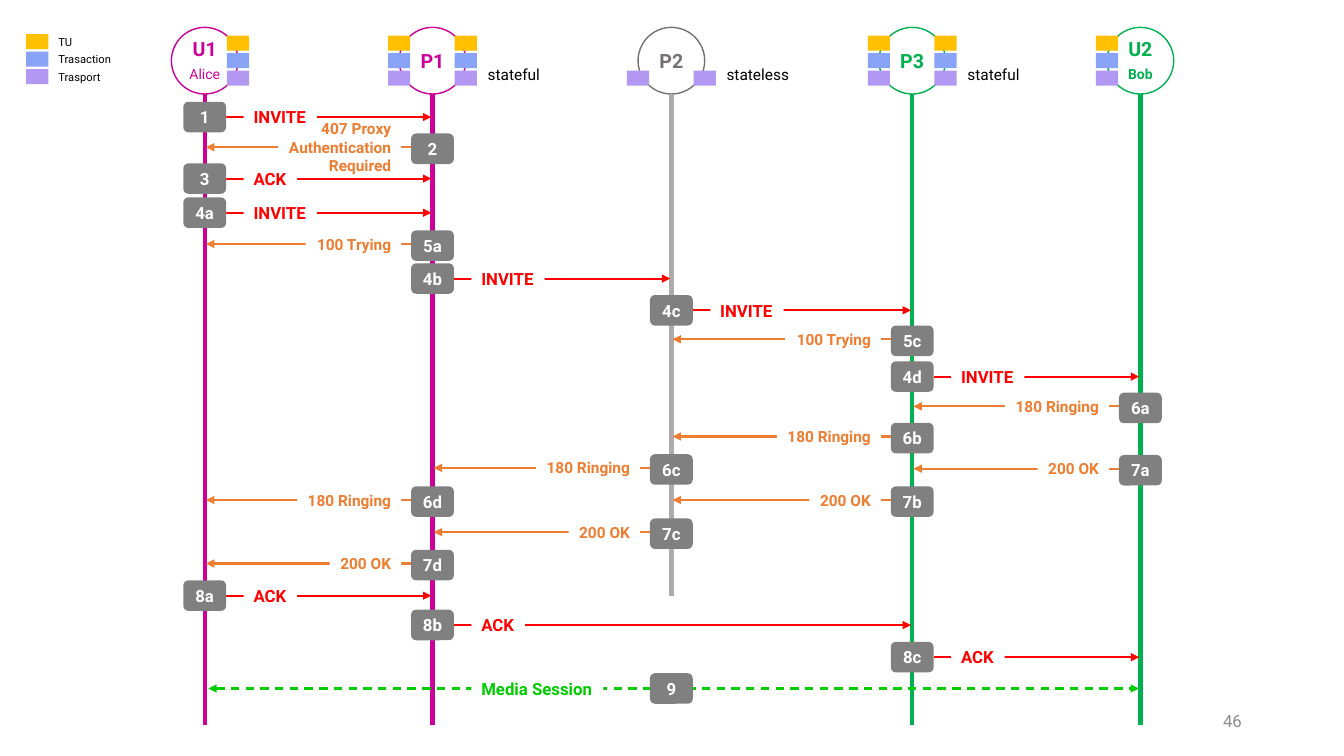
"""Build a call-flow slide between two users and three proxies."""
from dataclasses import dataclass
from typing import Any

import lxml.etree
import pptx
import pptx.dml.color
import pptx.enum.dml
import pptx.enum.shapes
import pptx.enum.text
import pptx.oxml.ns
import pptx.util

Cm, Pt = pptx.util.Cm, pptx.util.Pt
SHAPE = pptx.enum.shapes.MSO_SHAPE
ALIGN = pptx.enum.text.PP_ALIGN

COLORS = {
    "magenta": "CC0099", "green": "00B050", "gray": "767171", "silver": "AFABAB",
    "gold": "FFC000", "blue": "89A3F7", "violet": "B298F2", "black": "000000",
    "step": "808080", "white": "FFFFFF", "request": "FF0000", "response": "ED7D31",
    "media": "00CC00", "number": "8C8C8C",
}
LAYERS = {"TU": "gold", "Trasaction": "blue", "Trasport": "violet"}
FORMATS = {
    "name": {"size": Pt(14), "bold": True},
    "alias": {"size": Pt(10), "bold": False},
    "bold alias": {"size": Pt(10), "bold": True},
    "state": {"size": Pt(11), "bold": False},
    "legend": {"size": Pt(8), "bold": False},
    "step": {"size": Pt(12), "bold": True},
    "response": {"size": Pt(11), "bold": True},
    "number": {"size": Pt(12), "bold": False},
}
LABEL_WIDTHS = {
    "INVITE": 1.85, "ACK": 1.35, "100 Trying": 2.41, "180 Ringing": 2.62,
    "200 OK": 1.8, "407 Proxy\nAuthentication\nRequired": 3.1, "Media Session": 3.33,
}
DIAMETER, NODE_TOP = 1.68, 0.69
SWATCH_W, SWATCH_H, SWATCH_PITCH = 0.56, 0.38, 0.44
STEP_W, STEP_H = 1.08, 0.77
ARROW_GAP = 0.03


@dataclass
class Node:
    """A participant with its lifeline."""
    x: float
    color: str
    line: str
    sides: tuple[int, ...]
    layers: tuple[str, ...] = tuple(LAYERS.values())
    bottom: float = 18.26
    alias: str = ""
    alias_format: str = "alias"
    state: str = ""


@dataclass
class Step:
    """A numbered message between two participants."""
    number: str
    sender: str
    receiver: str
    y: float
    label: str


NODES = {
    "P1": Node(10.9, "magenta", "magenta", (-1, 1), state="stateful"),
    "U1": Node(5.16, "magenta", "magenta", (1,), alias="Alice"),
    "U2": Node(28.74, "green", "green", (-1,), alias="Bob", alias_format="bold alias"),
    "P3": Node(22.99, "green", "green", (-1, 1), state="stateful"),
    "P2": Node(16.92, "gray", "silver", (-1, 1), ("violet",), 15.01, state="stateless"),
}
STEPS = [
    Step("2", "P1", "U1", 3.71, "407 Proxy\nAuthentication\nRequired"),
    Step("1", "U1", "P1", 2.95, "INVITE"),
    Step("3", "U1", "P1", 4.5, "ACK"),
    Step("4a", "U1", "P1", 5.36, "INVITE"),
    Step("5a", "P1", "U1", 6.15, "100 Trying"),
    Step("4b", "P1", "P2", 7.02, "INVITE"),
    Step("4c", "P2", "P3", 7.82, "INVITE"),
    Step("5c", "P3", "P2", 8.55, "100 Trying"),
    Step("4d", "P3", "U2", 9.49, "INVITE"),
    Step("6a", "U2", "P3", 10.24, "180 Ringing"),
    Step("6b", "P3", "P2", 11, "180 Ringing"),
    Step("7a", "U2", "P3", 11.81, "200 OK"),
    Step("6c", "P2", "P1", 11.79, "180 Ringing"),
    Step("7b", "P3", "P2", 12.6, "200 OK"),
    Step("6d", "P1", "U1", 12.6, "180 Ringing"),
    Step("7c", "P2", "P1", 13.41, "200 OK"),
    Step("7d", "P1", "U1", 14.2, "200 OK"),
    Step("8a", "U1", "P1", 15.01, "ACK"),
    Step("8b", "P1", "P3", 15.75, "ACK"),
    Step("8c", "P3", "U2", 16.56, "ACK"),
]


def rgb(color: str) -> pptx.dml.color.RGBColor:
    """Return the named colour."""
    return pptx.dml.color.RGBColor.from_string(COLORS[color])


def write(sp: Any, text: str, fmt: str, color: str, align: Any = ALIGN.CENTER) -> None:
    """Write formatted lines, vertically centred, in a shape."""
    tf = sp.text_frame
    tf.word_wrap = False
    tf.vertical_anchor = pptx.enum.text.MSO_ANCHOR.MIDDLE
    tf.margin_top = tf.margin_bottom = 0
    tf.text = text
    for p in tf.paragraphs:
        p.alignment = align
        for r in p.runs:
            for key, value in {"name": "Roboto", **FORMATS[fmt]}.items():
                setattr(r.font, key, value)
            r.font.color.rgb = rgb(color)


def add_shape(s: Any, kind: Any, x: float, y: float, w: float, h: float,
              fill: str, line: str = "") -> Any:
    """Add a filled shape centred at a point."""
    sp = s.shapes.add_shape(kind, Cm(x - w / 2), Cm(y - h / 2), Cm(w), Cm(h))
    sp.shadow.inherit = False
    sp.fill.solid()
    sp.fill.fore_color.rgb = rgb(fill)
    if line:
        sp.line.color.rgb = rgb(line)
        sp.line.width = Pt(1)
    else:
        sp.line.fill.background()
    return sp


def add_text(s: Any, text: str, x: float, y: float, w: float, h: float,
             fmt: str, color: str, align: Any = ALIGN.LEFT) -> None:
    """Add a text box whose vertical centre is y."""
    sp = s.shapes.add_textbox(Cm(x), Cm(y - h / 2), Cm(w), Cm(h))
    write(sp, text, fmt, color, align)


def add_line(s: Any, x1: float, y1: float, x2: float, y2: float, color: str,
             width: float = 1.5, ends: tuple[str, ...] = (), dashed: bool = False) -> None:
    """Add a straight line with optional arrowheads."""
    c = s.shapes.add_connector(pptx.enum.shapes.MSO_CONNECTOR.STRAIGHT,
                               Cm(x1), Cm(y1), Cm(x2), Cm(y2))
    c.line.color.rgb = rgb(color)
    c.line.width = Pt(width)
    if dashed:
        c.line.dash_style = pptx.enum.dml.MSO_LINE.DASH
    qn = pptx.oxml.ns.qn
    ln = c.element.find(".//" + qn("a:ln"))
    for end in ends:
        lxml.etree.SubElement(ln, qn(f"a:{end}"), type="triangle")
    lxml.etree.SubElement(ln.getparent(), qn("a:effectLst"))


def add_label(s: Any, text: str, x: float, y: float, color: str,
              align: Any = ALIGN.LEFT) -> None:
    """Add a white message label that starts or ends at x."""
    w = LABEL_WIDTHS[text]
    h = 0.74 + 0.47 * text.count("\n")
    side = -1 if align == ALIGN.RIGHT else 1
    sp = add_shape(s, SHAPE.RECTANGLE, x + side * w / 2, y, w, h, "white")
    write(sp, text, "response" if color == "response" else "step", color, align)


def add_badge(s: Any, number: str, x: float, y: float) -> None:
    """Add a step number box."""
    sp = add_shape(s, SHAPE.ROUNDED_RECTANGLE, x, y, STEP_W, STEP_H, "step")
    write(sp, number, "step", "white")


def add_node(s: Any, name: str, node: Node) -> None:
    """Add a participant circle with its layers and captions."""
    y = NODE_TOP + DIAMETER / 2
    sp = add_shape(s, SHAPE.OVAL, node.x, y, DIAMETER, DIAMETER, "white", node.color)
    write(sp, name, "name", node.color)
    sp.text_frame.margin_left = sp.text_frame.margin_right = 0
    if node.alias:
        sp.text_frame.margin_bottom = Cm(0.58)
        add_text(s, node.alias, node.x - 0.65, 1.87, 1.3, 0.69,
                 node.alias_format, node.color, ALIGN.CENTER)
    for side in node.sides:
        for color in node.layers:
            row = list(LAYERS.values()).index(color)
            add_shape(s, SHAPE.RECTANGLE, node.x + side * 0.84, 1.09 + row * SWATCH_PITCH,
                      SWATCH_W, SWATCH_H, color)
    if node.state:
        add_text(s, node.state, node.x + 1.14, 1.88, 2.1, 0.74, "state", "black")


def add_step(s: Any, step: Step) -> None:
    """Add a message arrow with its label and number."""
    x1, x2 = NODES[step.sender].x, NODES[step.receiver].x
    side = 1 if x2 > x1 else -1
    color = "request" if side > 0 else "response"
    add_line(s, x1 + side * STEP_W / 2, step.y, x2 - side * ARROW_GAP, step.y,
             color, ends=("tailEnd",))
    if side > 0:
        add_label(s, step.label, x1 + 0.98, step.y, color)
    else:
        add_label(s, step.label, x1 - 0.79, step.y, color, ALIGN.RIGHT)
    add_badge(s, step.number, x1, step.y + (0 if side > 0 else 0.04))


def main() -> None:
    """Draw the slide and save it."""
    prs = pptx.Presentation()
    prs.slide_width, prs.slide_height = Cm(33.87), Cm(19.05)
    s = prs.slides.add_slide(prs.slide_layouts[6])
    add_text(s, "46", 23.93, 18.16, 7.62, 1.02, "number", "number", ALIGN.RIGHT)
    for name, node in NODES.items():
        add_node(s, name, node)
    for row, (layer, color) in enumerate(LAYERS.items()):
        y = 1.05 + row * SWATCH_PITCH
        add_text(s, layer, 1.22, y, 1.9, 0.61, "legend", "black")
        add_shape(s, SHAPE.RECTANGLE, 0.94, y, SWATCH_W, SWATCH_H, color)
    for node in NODES.values():
        add_line(s, node.x, NODE_TOP + DIAMETER, node.x, node.bottom, node.line, 3)
    for step in STEPS:
        add_step(s, step)
    media_y = 17.35
    add_line(s, NODES["U1"].x + 0.09, media_y, NODES["U2"].x - 0.04, media_y, "media",
             ends=("headEnd", "tailEnd"), dashed=True)
    add_badge(s, "9", NODES["P2"].x, media_y)
    add_label(s, "Media Session", NODES["P1"].x + 0.98, media_y, "media")
    prs.save("out.pptx")


if __name__ == "__main__":
    main()
